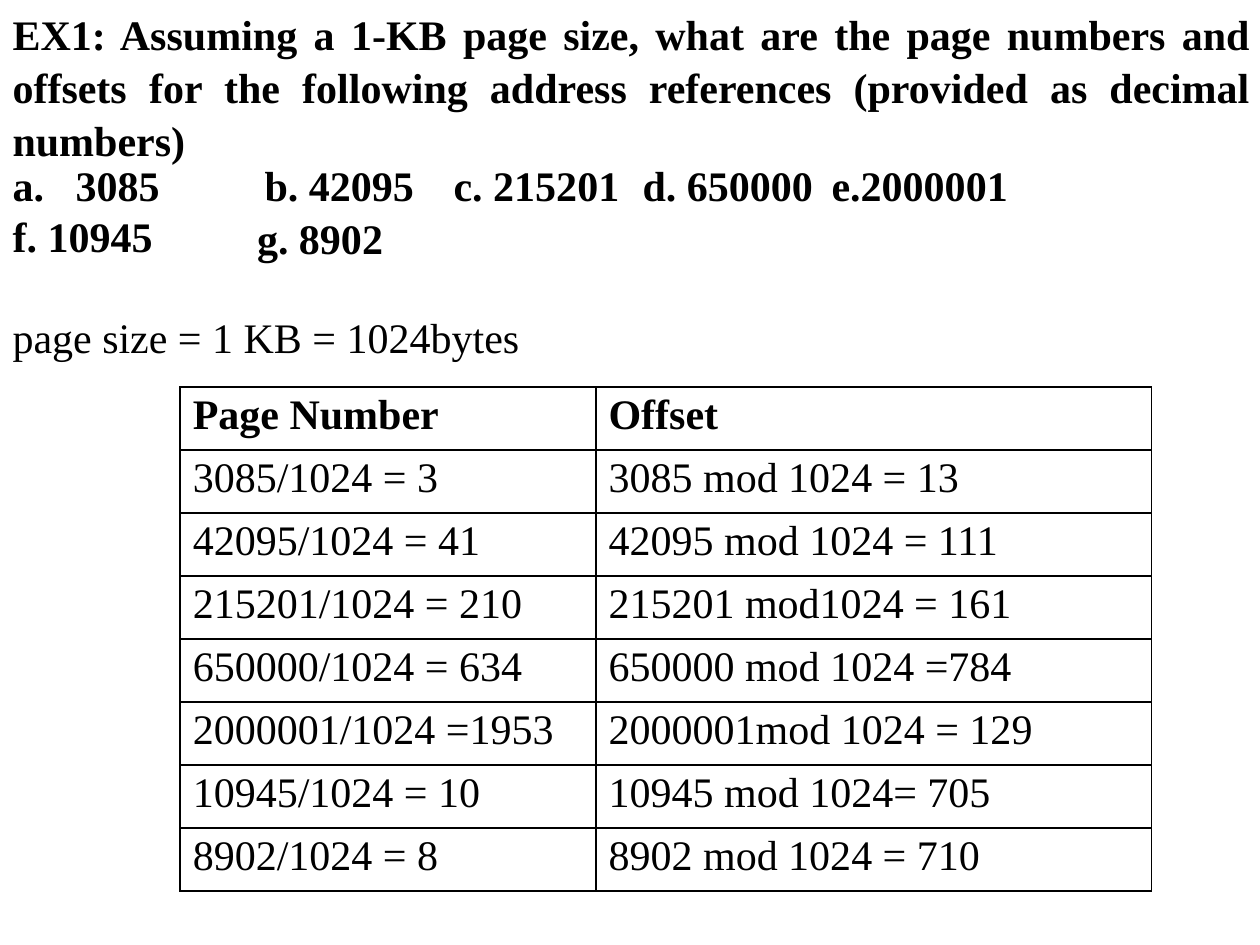
from lxml import etree
from pptx import Presentation
from pptx.dml.color import RGBColor
from pptx.enum.text import PP_ALIGN
from pptx.oxml.ns import qn
from pptx.util import Inches, Pt

BLACK = RGBColor(0, 0, 0)
FONT = "Times New Roman"
LEFT, JUSTIFY = PP_ALIGN.LEFT, PP_ALIGN.JUSTIFY

QUESTION = (
    "EX1: Assuming a 1-KB page size, what are the page numbers and offsets for "
    "the following address references (provided as decimal numbers)"
)
ROWS = [
    ("Page Number", "Offset"),
    ("3085/1024 = 3", "3085 mod 1024 = 13"),
    ("42095/1024 = 41", "42095 mod 1024 = 111"),
    ("215201/1024 = 210", "215201 mod1024 = 161"),
    ("650000/1024 = 634", "650000 mod 1024 =784"),
    ("2000001/1024 =1953", "2000001mod 1024 = 129"),
    ("10945/1024 = 10", "10945 mod 1024= 705"),
    ("8902/1024 = 8", "8902 mod 1024 = 710"),
]


def write_text(para, text, bold=False, indent=0.01, align=LEFT, spacing=1.05, tabs=()):
    properties = para._p.get_or_add_pPr()
    properties.set("marL", str(Inches(indent)))
    properties.set("indent", "0")
    para.alignment = align
    para.line_spacing = spacing
    if tabs:
        tab_list = etree.SubElement(properties, qn("a:tabLst"))
        for position in tabs:
            etree.SubElement(tab_list, qn("a:tab"), pos=str(Inches(position)), algn="l")
    span = para.add_run()
    span.text = text
    span.font.name = FONT
    span.font.size = Pt(24)
    span.font.bold = bold
    span.font.color.rgb = BLACK


def add_text_box(page, left, top, width, height, lines):
    box = page.shapes.add_textbox(Inches(left), Inches(top), Inches(width), Inches(height))
    frame = box.text_frame
    frame.word_wrap = True
    frame.margin_left = frame.margin_right = frame.margin_bottom = 0
    frame.margin_top = Inches(0.02)
    for index, (text, style) in enumerate(lines):
        para = frame.add_paragraph() if index else frame.paragraphs[0]
        write_text(para, text, **style)


def add_question(page, left, top):
    bold = {"bold": True}
    choices = [
        ("b. 42095\tc. 215201\td. 650000\te.2000001",
         {"bold": True, "indent": 0.07, "tabs": (2.07, 4.07, 6.08)}),
        ("g. 8902", bold),
    ]
    add_text_box(page, left, top, 9.83, 1.23, [(QUESTION, {"bold": True, "align": JUSTIFY})])
    add_text_box(page, left, top + 1.2, 1.2, 0.43, [("a.\t3085", {"bold": True, "tabs": (0.51,)})])
    add_text_box(page, left, top + 1.6, 1.13, 0.43, [("f. 10945", bold)])
    add_text_box(page, left + 1.94, top + 1.2, 7.49, 0.83, choices)
    add_text_box(page, left, top + 2.4, 4.04, 0.43, [("page size = 1 KB = 1024bytes", {})])


def draw_cell_borders(cell):
    properties = cell._tc.get_or_add_tcPr()
    for index, side in enumerate(("lnL", "lnR", "lnT", "lnB")):
        line = etree.Element(qn(f"a:{side}"), w=str(Pt(1)))
        fill = etree.SubElement(line, qn("a:solidFill"))
        etree.SubElement(fill, qn("a:srgbClr"), val=str(BLACK))
        properties.insert(index, line)


def add_answer_table(page, left, top, column_widths, row_height):
    frame = page.shapes.add_table(
        len(ROWS), len(column_widths), Inches(left), Inches(top),
        Inches(sum(column_widths)), Inches(row_height * len(ROWS)),
    )
    table = frame.table
    table.horz_banding = False
    for column, width in zip(table.columns, column_widths):
        column.width = Inches(width)
    for row_index, texts in enumerate(ROWS):
        table.rows[row_index].height = Inches(row_height)
        for column_index, text in enumerate(texts):
            cell = table.cell(row_index, column_index)
            cell.margin_left = cell.margin_right = cell.margin_bottom = 0
            cell.margin_top = Inches(0.04)
            cell.fill.background()
            draw_cell_borders(cell)
            write_text(cell.text_frame.paragraphs[0], text,
                       bold=row_index == 0, indent=0.1, spacing=1.0)


def main():
    deck = Presentation()
    deck.slide_width, deck.slide_height = Inches(10), Inches(7.5)
    page = deck.slides.add_slide(deck.slide_layouts[6])
    add_question(page, 0.09, 0.03)
    add_answer_table(page, 1.43, 3.07, (3.3, 4.41), 0.5)
    deck.save("out.pptx")


if __name__ == "__main__":
    main()
